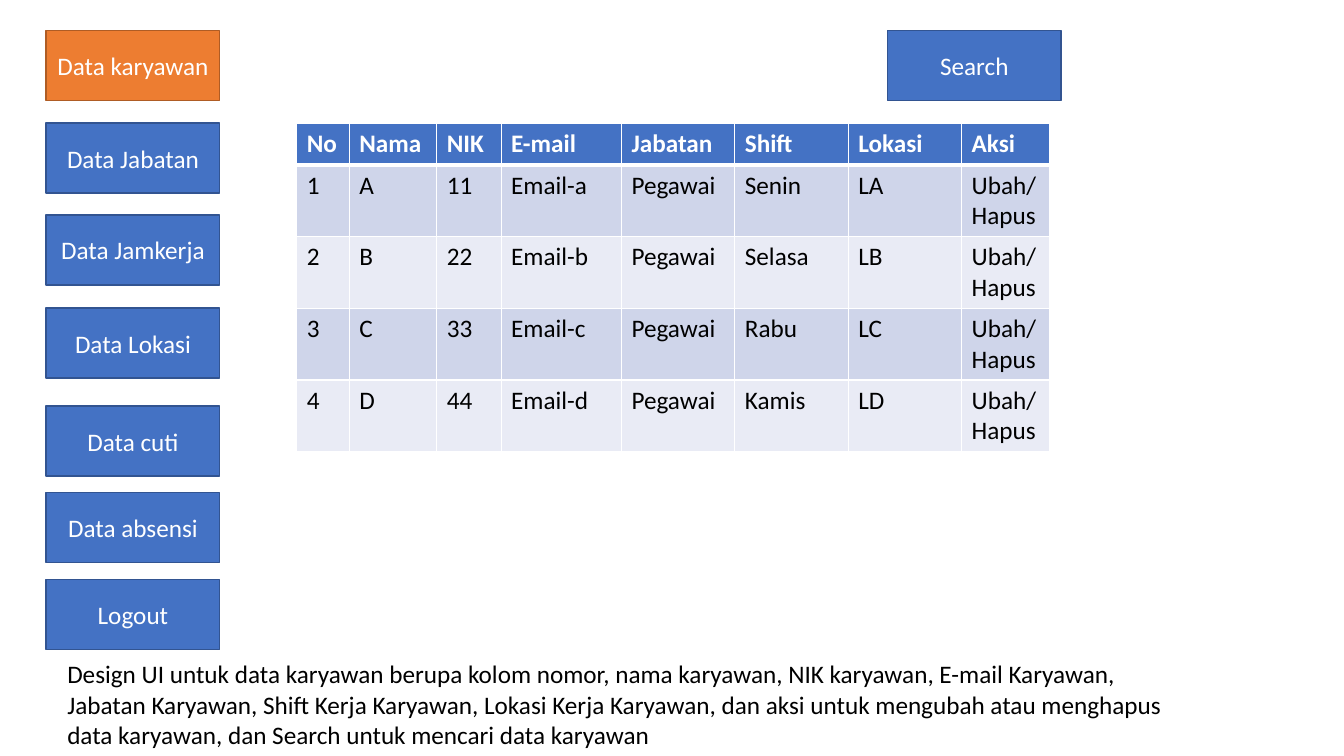
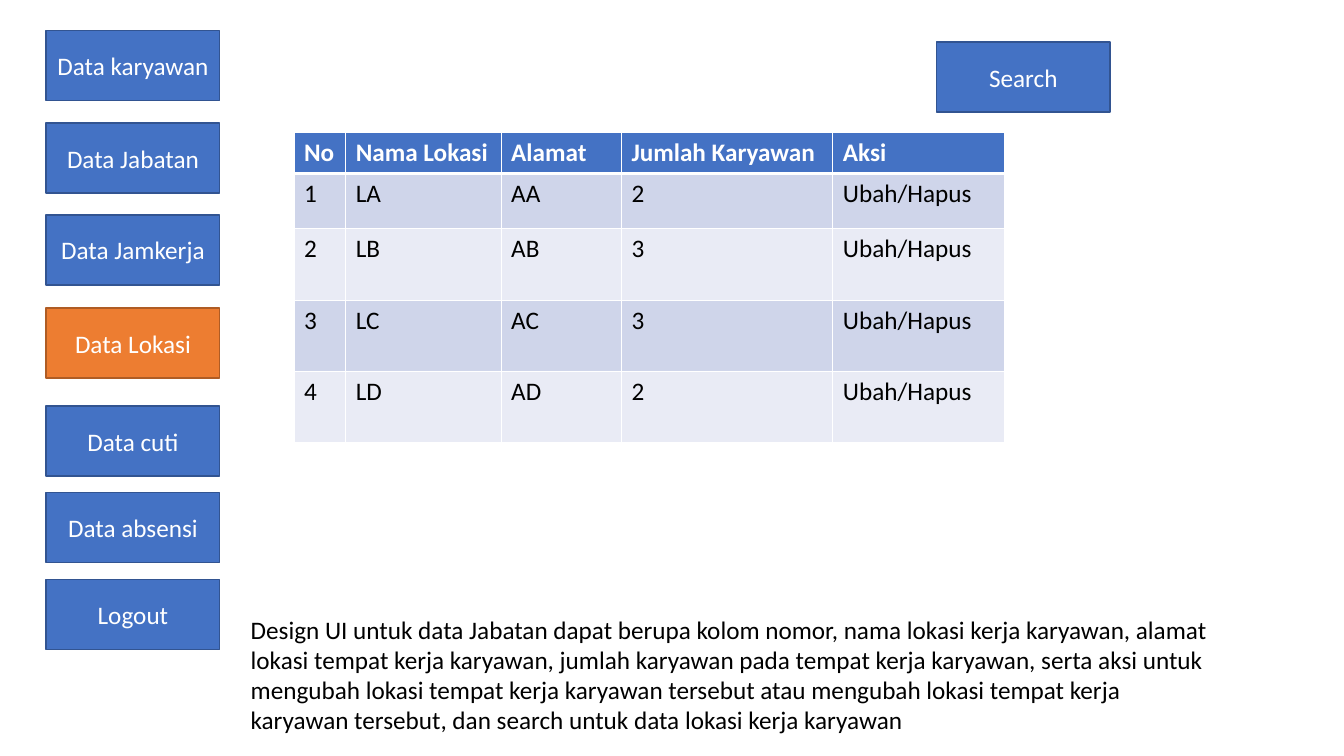
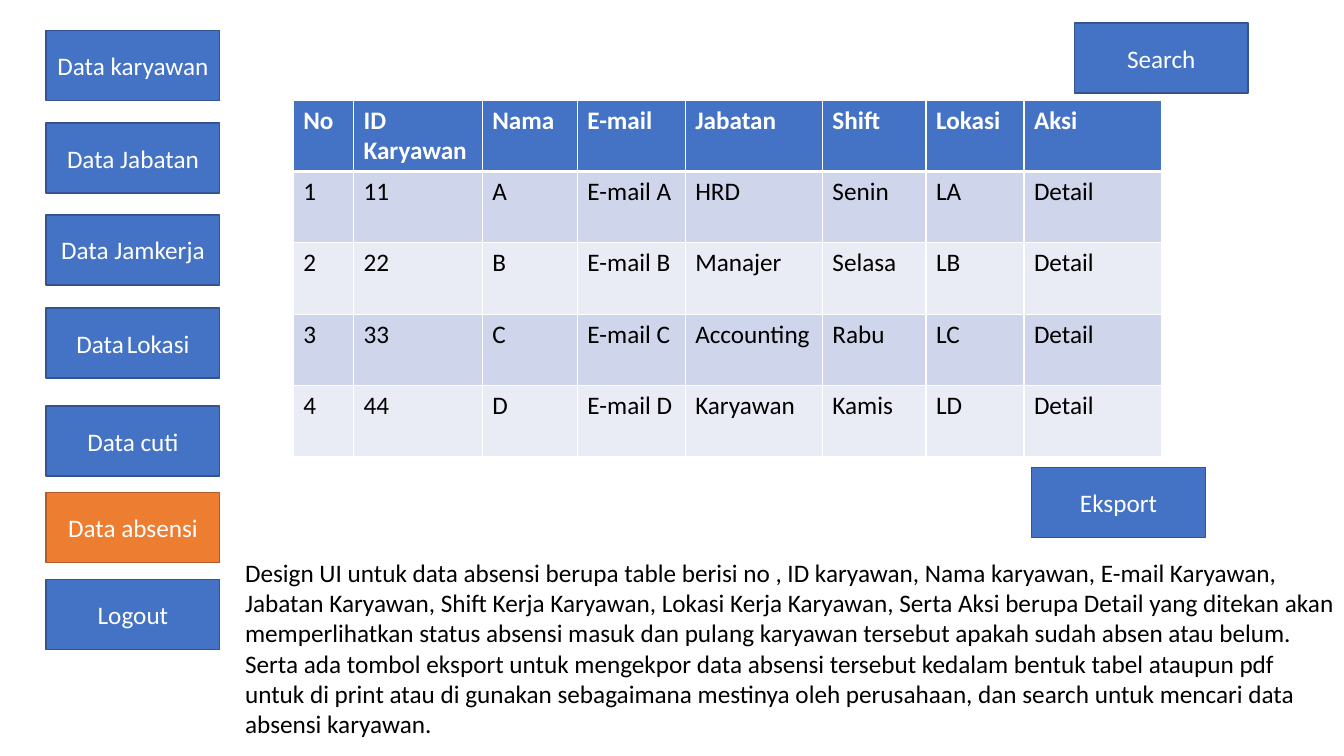
import pptx
import pptx.dml.color
import pptx.enum.shapes
import pptx.enum.text
import pptx.oxml
import pptx.oxml.ns
import pptx.util
import lxml.etree

Pt = pptx.util.Pt

COLORS = {
    "blue": "4472C4",
    "blue_edge": "325491",
    "orange": "ED7D31",
    "orange_edge": "AF5C24",
    "band_dark": "CFD5EA",
    "band_light": "E9EBF5",
    "white": "FFFFFF",
    "black": "000000",
}

MENU = {
    "Data karyawan": 22,
    "Data Jabatan": 88,
    "Data Jamkerja": 153.5,
    "Data Lokasi": 220,
    "Data cuti": 290,
    "Data absensi": 352,
    "Logout": 414,
}


class Mockup:
    """Draws the admin screens with one shared style."""

    font = "Calibri"
    size = 18
    menu_left = 33
    button_width = 124
    button_height = 50

    def __init__(self):
        self.deck = pptx.Presentation()
        self.deck.slide_width = Pt(960)
        self.deck.slide_height = Pt(540)
        self.page = None

    def color(self, name):
        return pptx.dml.color.RGBColor.from_string(COLORS[name])

    def add_page(self):
        self.page = self.deck.slides.add_slide(self.deck.slide_layouts[6])

    def set_text(self, frame, text, color, bold=False, align=pptx.enum.text.PP_ALIGN.LEFT):
        frame.word_wrap = True
        para = frame.paragraphs[0]
        para.text = text
        para.alignment = align
        para.font.name = self.font
        para.font.size = Pt(self.size)
        para.font.bold = bold
        para.font.color.rgb = self.color(color)

    def button(self, text, left, top, color="blue"):
        box = self.page.shapes.add_shape(
            pptx.enum.shapes.MSO_SHAPE.RECTANGLE,
            Pt(left), Pt(top), Pt(self.button_width), Pt(self.button_height))
        box.shadow.inherit = False
        box.fill.solid()
        box.fill.fore_color.rgb = self.color(color)
        box.line.color.rgb = self.color(color + "_edge")
        box.line.width = Pt(1)
        box.text_frame.vertical_anchor = pptx.enum.text.MSO_ANCHOR.MIDDLE
        self.set_text(box.text_frame, text, "white", align=pptx.enum.text.PP_ALIGN.CENTER)

    def menu(self, active, labels):
        for name, top in MENU.items():
            color = "orange" if name == active else "blue"
            self.button(labels.get(name, name), self.menu_left, top, color)

    def caption(self, text, left, top, width, height):
        box = self.page.shapes.add_textbox(Pt(left), Pt(top), Pt(width), Pt(height))
        self.set_text(box.text_frame, text, "black")
        box.text_frame.auto_size = pptx.enum.text.MSO_AUTO_SIZE.SHAPE_TO_FIT_TEXT

    def border(self, cell, side, width):
        properties = cell._tc.get_or_add_tcPr()
        line = lxml.etree.SubElement(
            properties, pptx.oxml.ns.qn("a:ln" + side), w=str(Pt(width)))
        fill = lxml.etree.SubElement(line, pptx.oxml.ns.qn("a:solidFill"))
        lxml.etree.SubElement(fill, pptx.oxml.ns.qn("a:srgbClr"), val=COLORS["white"])

    def table(self, left, top, widths, heights, rows):
        frame = self.page.shapes.add_table(
            len(rows), len(widths), Pt(left), Pt(top), Pt(sum(widths)), Pt(sum(heights)))
        grid = frame.table
        for column, width in zip(grid.columns, widths):
            column.width = Pt(width)
        for number, (row, height, values) in enumerate(zip(grid.rows, heights, rows)):
            row.height = Pt(height)
            header = number == 0
            band = "blue" if header else ("band_light", "band_dark")[number % 2]
            for cell, value in zip(row.cells, values):
                for side in "LRTB":
                    thick = (header and side == "B") or (number == 1 and side == "T")
                    self.border(cell, side, 3 if thick else 1)
                cell.fill.solid()
                cell.fill.fore_color.rgb = self.color(band)
                self.set_text(cell.text_frame, value, "white" if header else "black", header)


SCREENS = [
    {
        "active": "Data karyawan",
        "buttons": [("Search", 634, 22)],
        "table": {
            "left": 212, "top": 88.5,
            "widths": [37.5, 62.5, 46, 86, 81, 81, 81, 63],
            "heights": [29.5] + [51] * 4,
            "rows": [
                ["No", "Nama", "NIK", "E-mail", "Jabatan", "Shift", "Lokasi", "Aksi"],
                ["1", "A", "11", "Email-a", "Pegawai", "Senin", "LA", "Ubah/Hapus"],
                ["2", "B", "22", "Email-b", "Pegawai", "Selasa", "LB", "Ubah/Hapus"],
                ["3", "C", "33", "Email-c", "Pegawai", "Rabu", "LC", "Ubah/Hapus"],
                ["4", "D", "44", "Email-d", "Pegawai", "Kamis", "LD", "Ubah/Hapus"],
            ],
        },
        "caption": (
            "Design UI untuk data karyawan berupa kolom nomor, nama karyawan, "
            "NIK karyawan, E-mail Karyawan, Jabatan Karyawan, Shift Kerja Karyawan, "
            "Lokasi Kerja Karyawan, dan aksi untuk mengubah atau menghapus data "
            "karyawan, dan Search untuk mencari data karyawan",
            41, 467, 816.5, 73),
    },
    {
        "active": "Data Lokasi",
        "buttons": [("Search", 669, 30)],
        "table": {
            "left": 210, "top": 94.5,
            "widths": [37, 111, 86, 151, 123],
            "heights": [29.5, 39.5] + [51] * 3,
            "rows": [
                ["No", "Nama Lokasi", "Alamat", "Jumlah Karyawan", "Aksi"],
                ["1", "LA", "AA", "2", "Ubah/Hapus"],
                ["2", "LB", "AB", "3", "Ubah/Hapus"],
                ["3", "LC", "AC", "3", "Ubah/Hapus"],
                ["4", "LD", "AD", "2", "Ubah/Hapus"],
            ],
        },
        "caption": (
            "Design UI untuk data Jabatan dapat berupa kolom nomor, nama lokasi kerja "
            "karyawan, alamat lokasi tempat kerja karyawan, jumlah karyawan pada tempat "
            "kerja karyawan, serta aksi untuk mengubah lokasi tempat kerja karyawan "
            "tersebut atau mengubah lokasi tempat kerja karyawan tersebut, dan search "
            "untuk data lokasi kerja karyawan",
            172, 435, 701, 94),
    },
    {
        "active": "Data absensi",
        "labels": {"Data Lokasi": "Data\tLokasi"},
        "buttons": [("Search", 767.5, 16.5), ("Eksport", 737, 334)],
        "table": {
            "left": 209.5, "top": 71.5,
            "widths": [43, 92, 68, 77, 98, 74, 70, 98.5],
            "heights": [51] * 5,
            "rows": [
                ["No", "ID Karyawan", "Nama", "E-mail", "Jabatan", "Shift", "Lokasi", "Aksi"],
                ["1", "11", "A", "E-mail A", "HRD", "Senin", "LA", "Detail"],
                ["2", "22", "B", "E-mail B", "Manajer", "Selasa", "LB", "Detail"],
                ["3", "33", "C", "E-mail C", "Accounting", "Rabu", "LC", "Detail"],
                ["4", "44", "D", "E-mail D", "Karyawan", "Kamis", "LD", "Detail"],
            ],
        },
        "caption": (
            "Design UI untuk data absensi berupa table berisi no , ID karyawan, Nama "
            "karyawan, E-mail Karyawan, Jabatan Karyawan, Shift Kerja Karyawan, Lokasi "
            "Kerja Karyawan, Serta Aksi berupa Detail yang ditekan akan memperlihatkan "
            "status absensi masuk dan pulang karyawan tersebut apakah sudah absen atau "
            "belum. Serta ada tombol eksport untuk mengekpor data absensi tersebut "
            "kedalam bentuk tabel ataupun pdf untuk di print atau di gunakan "
            "sebagaimana mestinya oleh perusahaan, dan search untuk mencari data "
            "absensi karyawan.",
            168, 394.5, 792, 138),
    },
]


def main():
    mockup = Mockup()
    for screen in SCREENS:
        mockup.add_page()
        mockup.menu(screen["active"], screen.get("labels", {}))
        mockup.table(**screen["table"])
        mockup.caption(*screen["caption"])
        for button in screen["buttons"]:
            mockup.button(*button)
    mockup.deck.save("out.pptx")


if __name__ == "__main__":
    main()
